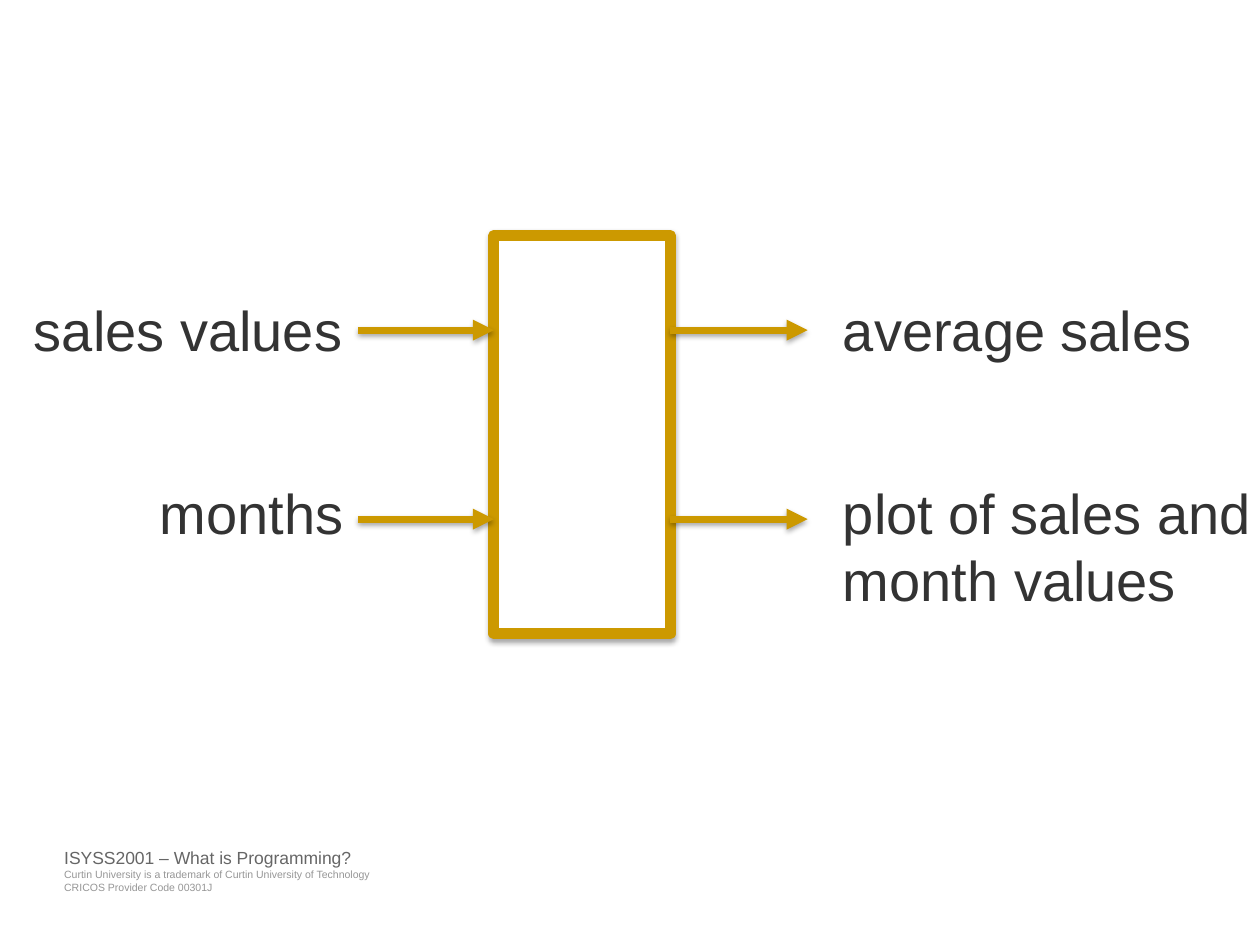
from lxml.etree import SubElement
from pptx import Presentation
from pptx.dml.color import RGBColor
from pptx.enum.shapes import MSO_CONNECTOR as CONNECTOR, MSO_SHAPE as SHAPE
from pptx.enum.text import MSO_AUTO_SIZE as AUTO_SIZE
from pptx.oxml.ns import qn
from pptx.util import Inches, Pt

COLORS = {
    "paper": "FFFFFF",
    "gold": "CC9900",
    "label": "333333",
    "course": "666666",
    "legal": "969696",
    "shadow": "000000",
}
ROWS = (2.62, 4.12)
INPUTS = (("sales values", 0.22, 2.57), ("months", 1.22, 1.57))
OUTPUTS = (("average sales", 2.89, 0.64), ("plot of sales and\nmonth values", 3.36, 1.18))
BOX_LEFT, BOX_WIDTH = 3.92, 1.4
BOX_RIGHT = BOX_LEFT + BOX_WIDTH


def rgb(name):
    """Return the named colour."""
    return RGBColor.from_string(COLORS[name])


def add_text(slide, text, left, top, width, height, size=32, color="label", inset=0.05):
    """Add a text box with one paragraph for each line of text."""
    box = slide.shapes.add_textbox(Inches(left), Inches(top), Inches(width), Inches(height))
    frame = box.text_frame
    frame.word_wrap = False
    frame.auto_size = AUTO_SIZE.SHAPE_TO_FIT_TEXT
    frame.margin_left = frame.margin_right = Inches(inset)
    frame.margin_top = frame.margin_bottom = Inches(inset)
    frame.text = text
    for paragraph in frame.paragraphs:
        paragraph.font.name = "Arial"
        paragraph.font.size = Pt(size)
        paragraph.font.color.rgb = rgb(color)


def add_shadow(shape):
    """Give a shape or connector a soft shadow straight below it."""
    effects = SubElement(shape._element.spPr, qn("a:effectLst"))
    shadow = SubElement(effects, qn("a:outerShdw"), blurRad=str(Pt(3)), dist=str(Pt(1.8)),
                        dir="5400000", rotWithShape="0")
    tint = SubElement(shadow, qn("a:srgbClr"), val=COLORS["shadow"])
    SubElement(tint, qn("a:alpha"), val="35000")


def outline(shape, width):
    """Draw the gold line of a shape or connector."""
    shape.line.color.rgb = rgb("gold")
    shape.line.width = Pt(width)


def add_process(slide, left, top, width, height):
    """Add the empty box that stands for the program."""
    process = slide.shapes.add_shape(
        SHAPE.RECTANGLE, Inches(left), Inches(top), Inches(width), Inches(height))
    process.fill.solid()
    process.fill.fore_color.rgb = rgb("paper")
    outline(process, 6.25)
    add_shadow(process)


def add_arrow(slide, start, end, y):
    """Add a horizontal arrow that points to the right."""
    arrow = slide.shapes.add_connector(
        CONNECTOR.STRAIGHT, Inches(start), Inches(y), Inches(end), Inches(y))
    outline(arrow, 4)
    SubElement(arrow.line._get_or_add_ln(), qn("a:tailEnd"), type="triangle")
    add_shadow(arrow)


def main():
    """Build the slide of program inputs and outputs."""
    deck = Presentation()
    deck.slide_width, deck.slide_height = Inches(10), Inches(7.5)
    slide = deck.slides.add_slide(deck.slide_layouts[6])

    add_text(slide, "Curtin University is a trademark of Curtin University of Technology\n"
             "CRICOS Provider Code 00301J", 0.51, 6.89, 2.44, 0.16,
             size=6, color="legal", inset=0)
    add_text(slide, "ISYSS2001 – What is Programming?", 0.51, 6.72, 2.29, 0.17,
             size=10, color="course", inset=0)

    add_process(slide, BOX_LEFT, 1.87, BOX_WIDTH, 3.16)
    for y, label_top, source, result in zip(ROWS, (2.3, 3.75), INPUTS, OUTPUTS):
        source_text, source_left, source_width = source
        result_text, result_width, result_height = result
        add_text(slide, source_text, source_left, label_top, source_width, 0.64)
        add_text(slide, result_text, 6.64, label_top, result_width, result_height)
        add_arrow(slide, 2.84, BOX_LEFT, y)
        add_arrow(slide, BOX_RIGHT, 6.41, y)

    deck.save("out.pptx")


if __name__ == "__main__":
    main()
